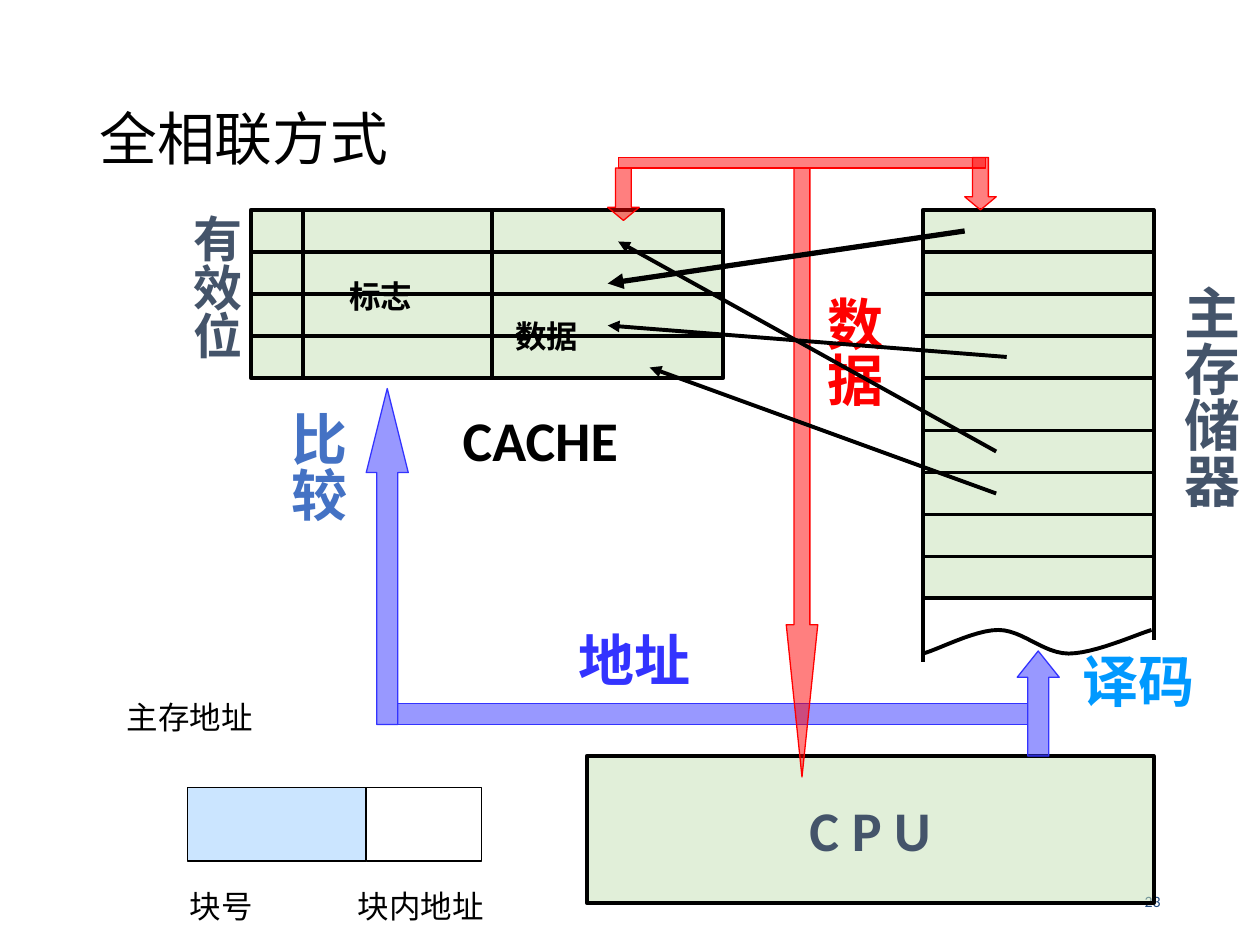
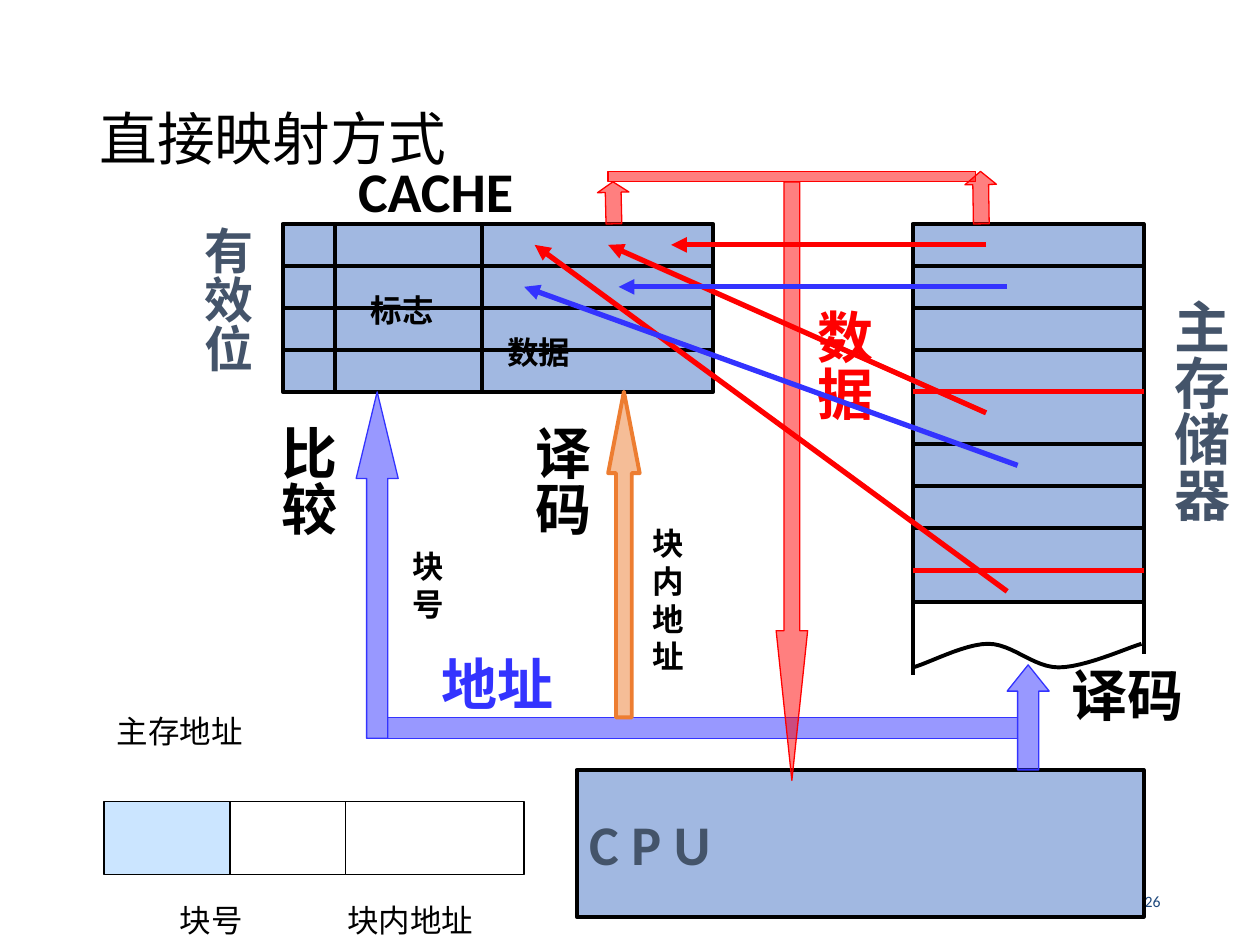
from lxml import etree
from pptx import Presentation
from pptx.dml.color import RGBColor
from pptx.enum.shapes import MSO_CONNECTOR, MSO_SHAPE
from pptx.enum.text import MSO_ANCHOR, MSO_AUTO_SIZE, PP_ALIGN
from pptx.oxml.ns import qn
from pptx.util import Inches, Pt

RECT = MSO_SHAPE.RECTANGLE
UP, DOWN = MSO_SHAPE.UP_ARROW, MSO_SHAPE.DOWN_ARROW
STRAIGHT = MSO_CONNECTOR.STRAIGHT
TOP, MIDDLE = MSO_ANCHOR.TOP, MSO_ANCHOR.MIDDLE
LEFT, CENTER, RIGHT = PP_ALIGN.LEFT, PP_ALIGN.CENTER, PP_ALIGN.RIGHT
FIT = MSO_AUTO_SIZE.SHAPE_TO_FIT_TEXT

FONT = "Calibri"
BLACK, WHITE, SLATE, NAVY = "000000", "FFFFFF", "44546A", "1F497D"
RED, BLUE, ORANGE, SKY, PALE = "FF0000", "3333FF", "ED7D31", "0099FF", "99CCFF"
GREEN, STEEL = "C5E0B4", "4472C4"

UNITS_PER_INCH = 12
THIN, MEDIUM, THICK = 0.75, 2.25, 3

CPU_BOX = (56, 72, 54, 14)
MEMORY_LEFT, MEMORY_WIDTH = 88, 22
BLOCK_TOP, CACHE_HEIGHT, CACHE_ROW = 20, 16, 4
MEMORY_LINES = (24, 28, 32, 36, 41, 45, 49, 53)
TORN_TOP = 60
TORN_EDGE = [
    ((0, 2.25), (1.2, 2), (4.9, 0), (7.2, 0)),
    ((7.2, 0), (9.5, 0), (11.5, 2.25), (13.9, 2.25)),
    ((13.9, 2.25), (16.3, 2.25), (20.2, 0.5), (21.8, 0)),
]
CURVE_STEPS = 12
ADDRESS_TOP, ADDRESS_HEIGHT = 75, 7
ADDRESS_BUS, DATA_BUS = (38, 67, 60, 2), (59, 15, 35, 1)

TALL, WIDE, SMALL, PLAIN, STACK = (
    dict(size=32, bold=True, vertical=True),
    dict(size=32, bold=True),
    dict(size=18, bold=True),
    dict(size=18, anchor=TOP, wrap=True),
    dict(size=18, bold=True, fill=WHITE),
)
VALID_BIT = dict(size=28, bold=True, vertical=True)

SHARED_LABELS = [
    ("数据", (77, 27, 8.76, 12), RED, TALL),
    ("主存储器", (111, 26, 8.76, 22.7), SLATE, TALL),
]
ADDRESS_LABELS = [
    ("块号", (17, 83.9, 12, 6), BLACK, PLAIN),
    ("块内地址", (33, 83.9, 19, 6), BLACK, PLAIN),
    ("主存地址", (11, 65.9, 23, 6), BLACK, PLAIN),
]

SLIDES = [
    dict(
        title="全相联方式", number="23", origin=(-0.01, 0), block=GREEN,
        cpu_align=CENTER, memory_height=37, red_lines=(),
        cache_left=24, cache_width=45, cache_columns=(29, 47),
        arrows=[
            (UP, (97, 62, 4, 10), BLUE, 0), (UP, (35, 37, 4, 32), BLUE, 0),
            (DOWN, (58, 16, 3, 5), RED, 0), (DOWN, (92, 15, 3, 5), RED, 0),
            (DOWN, (75, 16, 3, 58), RED, 0),
        ],
        labels=[
            ("地址", (54, 59, 13.2, 7.56), BLUE, WIDE),
            ("有效位", (16.7, 19.2, 8, 15), SLATE, VALID_BIT),
            ("CACHE", (43, 38, 21.7, 7.56), BLACK, WIDE),
            ("比较", (26, 38, 8.76, 12), STEEL, TALL),
            ("译码", (102, 61, 13.2, 7.56), SKY, WIDE),
        ],
        mappings=[
            ((92, 22), (58, 27), BLACK, THICK), ((96, 34), (58, 31), BLACK, MEDIUM),
            ((95, 43), (59, 23), BLACK, MEDIUM), ((95, 47), (62, 35), BLACK, MEDIUM),
        ],
        fields=[
            ("标志", (32.2, 25.2, 10.6, 6), BLACK, SMALL),
            ("数据", (48, 29, 10.6, 6), BLACK, SMALL),
        ],
        address_left=18, address_widths=(17, 11),
    ),
    dict(
        title="直接映射方式", number="26", origin=(-0.09, 0.11), block=STEEL,
        cpu_align=LEFT, memory_height=36, red_lines=(36, 53),
        cache_left=28, cache_width=41, cache_columns=(33, 47),
        arrows=[
            (UP, (97, 62, 4, 10), BLUE, 0), (UP, (35, 36, 4, 33), BLUE, 0),
            (DOWN, (58, 16, 3, 4), RED, 178.6), (DOWN, (93, 15, 3, 5), RED, 179.1),
            (DOWN, (75, 16, 3, 57), RED, 0), (UP, (59, 36, 3, 31), ORANGE, 0),
        ],
        labels=[
            ("地址", (42, 60, 13.2, 7.56), BLUE, WIDE),
            ("有效位", (18.7, 19.1, 8, 15), SLATE, VALID_BIT),
            ("CACHE", (34, 13, 21.7, 7.56), BLACK, WIDE),
            ("比较", (26, 38, 8.76, 12), BLACK, TALL),
            ("译码", (102, 61, 13.2, 7.56), BLACK, WIDE),
            ("译码", (50.2, 38, 8.76, 12), BLACK, TALL),
        ],
        mappings=[
            ((95, 22), (65, 22), RED, THICK), ((95, 38), (59, 22), RED, THICK),
            ((97, 55), (52, 22), RED, THICK), ((97, 26), (60, 26), BLUE, THICK),
            ((98, 43), (51, 26), BLUE, THICK),
        ],
        fields=[
            ("块\n内\n地\n址", (62, 45.6, 6.4, 20.4), BLACK, STACK),
            ("块\n号", (39.2, 49, 6.4, 10.8), BLACK, STACK),
            ("标志", (35.2, 25.2, 10.6, 6), BLACK, SMALL),
            ("数据", (48.2, 29.2, 10.6, 6), BLACK, SMALL),
        ],
        address_left=11, address_widths=(12, 11, 17),
    ),
]


def rgb(value):
    return RGBColor.from_string(value)


def paint(shape, fill, line, width, alpha=None):
    shape.shadow.inherit = False
    shape.fill.solid()
    shape.fill.fore_color.rgb = rgb(fill)
    if alpha:
        colour = shape.fill._xPr.find(".//" + qn("a:srgbClr"))
        etree.SubElement(colour, qn("a:alpha")).set("val", str(alpha * 1000))
    shape.line.color.rgb = rgb(line)
    shape.line.width = Pt(width)


def write(shape, text, size, colour, bold=False, align=LEFT, anchor=MIDDLE,
          wrap=False, vertical=False, spacing=None):
    frame = shape.text_frame
    frame.word_wrap, frame.vertical_anchor = wrap, anchor
    if vertical:
        frame._txBody.bodyPr.set("vert", "eaVert")
    for index, line in enumerate(text.split("\n")):
        paragraph = frame.add_paragraph() if index else frame.paragraphs[0]
        paragraph.alignment = align
        if spacing:
            paragraph.line_spacing = spacing
        run = paragraph.add_run()
        run.text = line
        run.font.name, run.font.size, run.font.bold = FONT, Pt(size), bold
        run.font.color.rgb = rgb(colour)


class Diagram:
    def __init__(self, slide, origin):
        self.shapes = slide.shapes
        self.origin = origin

    def point(self, x, y):
        left, top = self.origin
        return Inches(left + x / UNITS_PER_INCH), Inches(top + y / UNITS_PER_INCH)

    def frame(self, x, y, width, height):
        return (*self.point(x, y), Inches(width / UNITS_PER_INCH),
                Inches(height / UNITS_PER_INCH))

    def block(self, box, fill, line=BLACK, width=MEDIUM, alpha=50, kind=RECT):
        shape = self.shapes.add_shape(kind, *self.frame(*box))
        paint(shape, fill, line, width, alpha)
        return shape

    def arrow(self, kind, box, colour, rotation):
        width = MEDIUM if colour == ORANGE else THIN
        shape = self.block(box, colour, colour, width, kind=kind)
        shape.adjustments[0] = 0.5
        shape.adjustments[1] = box[3] / 4 / box[2]
        shape.rotation = rotation

    def line(self, start, end, colour=BLACK, width=MEDIUM, head=False):
        line = self.shapes.add_connector(STRAIGHT, *self.point(*start), *self.point(*end))
        line.line.color.rgb = rgb(colour)
        line.line.width = Pt(width)
        if head:
            etree.SubElement(line.line._get_or_add_ln(), qn("a:tailEnd")).set("type", "triangle")
        etree.SubElement(line._element.spPr, qn("a:effectLst"))

    def label(self, text, box, colour, style):
        style = dict(style)
        fill = style.pop("fill", None)
        shape = self.shapes.add_textbox(*self.frame(*box))
        if fill:
            shape.fill.solid()
            shape.fill.fore_color.rgb = rgb(fill)
        write(shape, text, colour=colour, **style)
        shape.text_frame.auto_size = FIT

    def torn_edge(self):
        points = []
        for a, b, c, d in TORN_EDGE:
            for step in range(CURVE_STEPS + 1):
                t = step / CURVE_STEPS
                x, y = (p * (1 - t) ** 3 + 3 * q * t * (1 - t) ** 2
                        + 3 * r * t * t * (1 - t) + s * t ** 3
                        for p, q, r, s in zip(a, b, c, d))
                points.append(self.point(MEMORY_LEFT + x, TORN_TOP + y))
        builder = self.shapes.build_freeform(*points[0])
        builder.add_line_segments(points[1:], close=False)
        edge = builder.convert_to_shape()
        paint(edge, WHITE, BLACK, MEDIUM)
        edge.fill.background()


def draw_memory_and_cache(diagram, data):
    memory_right = MEMORY_LEFT + MEMORY_WIDTH
    left, right = data["cache_left"], data["cache_left"] + data["cache_width"]
    bottom = BLOCK_TOP + CACHE_HEIGHT
    diagram.block((MEMORY_LEFT, BLOCK_TOP, MEMORY_WIDTH, data["memory_height"]), data["block"])
    diagram.block((left, BLOCK_TOP, data["cache_width"], CACHE_HEIGHT), data["block"])
    for y in range(BLOCK_TOP + CACHE_ROW, bottom, CACHE_ROW):
        diagram.line((left, y), (right, y))
    for x in data["cache_columns"]:
        diagram.line((x, BLOCK_TOP), (x, bottom))
    for y in MEMORY_LINES:
        style = (RED, THICK) if y in data["red_lines"] else (BLACK, MEDIUM)
        diagram.line((MEMORY_LEFT, y), (memory_right, y), *style)
    diagram.torn_edge()
    for x, end in ((MEMORY_LEFT, 63), (memory_right, 61)):
        diagram.line((x, 56), (x, end))


def draw_address(diagram, data):
    x = data["address_left"]
    for index, width in enumerate(data["address_widths"]):
        fill, alpha = (WHITE, None) if index else (PALE, 50)
        diagram.block((x, ADDRESS_TOP, width, ADDRESS_HEIGHT), fill, width=THIN, alpha=alpha)
        x += width


def draw_slide(slide, data):
    title = slide.shapes.add_textbox(Inches(0.69), Inches(0.4), Inches(8.62), Inches(1.45))
    write(title, data["title"], 33, BLACK, wrap=True, spacing=0.9)
    number = slide.shapes.add_textbox(Inches(7.06), Inches(6.95), Inches(2.25), Inches(0.4))
    write(number, data["number"], 9, NAVY, align=RIGHT, wrap=True)

    diagram = Diagram(slide, data["origin"])
    cpu = diagram.block(CPU_BOX, data["block"])
    write(cpu, "C P U", 32, SLATE, bold=True, align=data["cpu_align"])
    draw_memory_and_cache(diagram, data)
    for box, colour in ((ADDRESS_BUS, BLUE), (DATA_BUS, RED)):
        diagram.block(box, colour, colour, THIN)
    for arrow in data["arrows"]:
        diagram.arrow(*arrow)
    for label in SHARED_LABELS + data["labels"]:
        diagram.label(*label)
    for mapping in data["mappings"]:
        diagram.line(*mapping, head=True)
    draw_address(diagram, data)
    for label in data["fields"] + ADDRESS_LABELS:
        diagram.label(*label)


def main():
    deck = Presentation()
    deck.slide_width, deck.slide_height = Inches(10), Inches(7.5)
    for data in SLIDES:
        draw_slide(deck.slides.add_slide(deck.slide_layouts[6]), data)
    deck.save("out.pptx")


if __name__ == "__main__":
    main()
